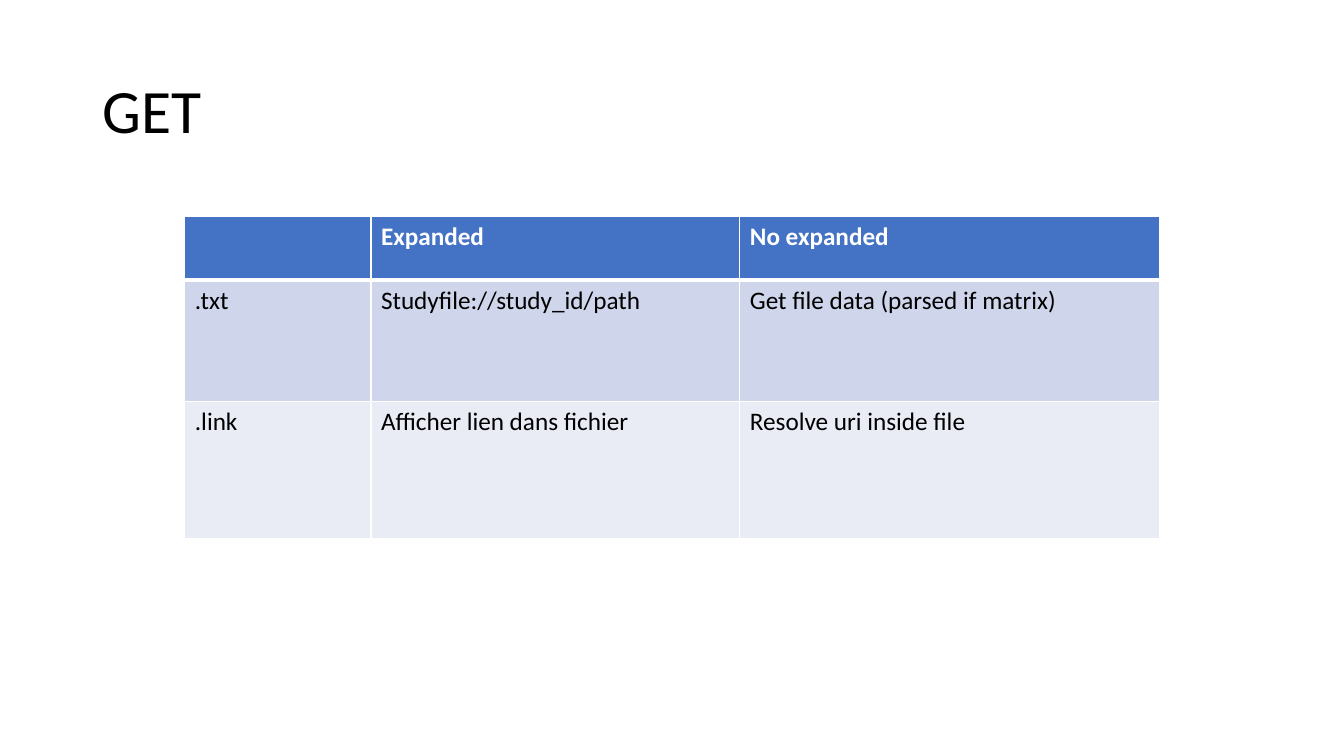
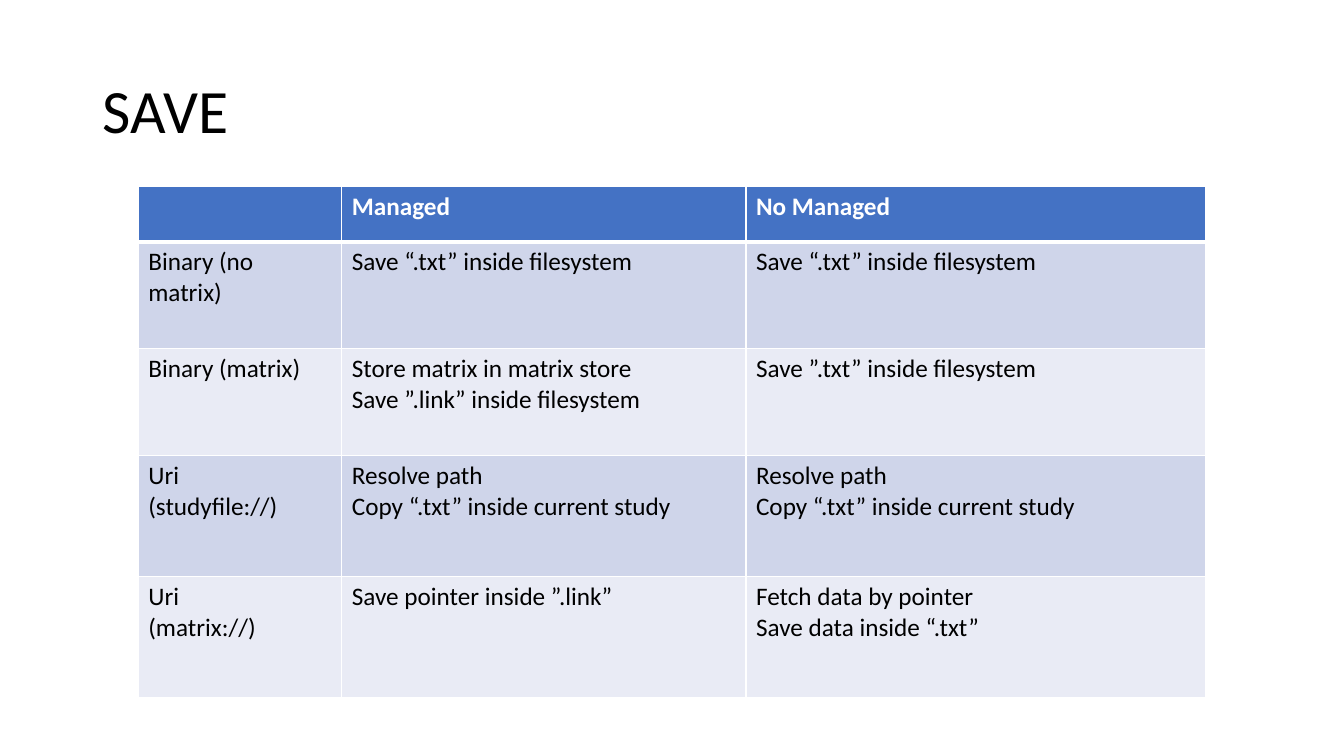
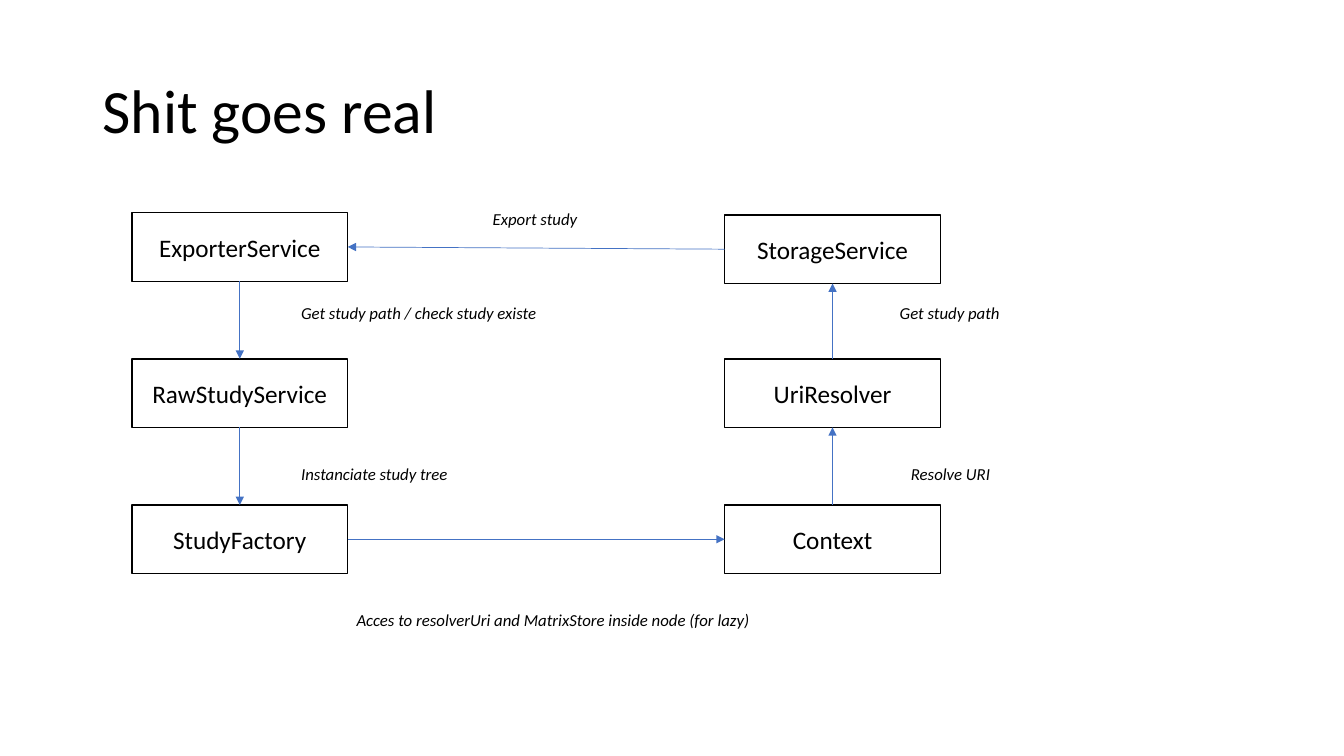
import pptx
import pptx.util
import pptx.dml.color
import pptx.enum.shapes
import pptx.enum.text
import pptx.oxml.ns
from lxml import etree

Pt = pptx.util.Pt
qn = pptx.oxml.ns.qn
ALIGN = pptx.enum.text.PP_ALIGN
ANCHOR = pptx.enum.text.MSO_ANCHOR
FIT = pptx.enum.text.MSO_AUTO_SIZE

# Shared look
FONT = "Calibri"
BLACK, WHITE, BLUE = "000000", "FFFFFF", "4472C4"
BANDS = ("CFD5EA", "E9EBF5")
TITLE_BOX = (66, 28.75, 828, 104.4)
TOP, LEFT, BOTTOM, RIGHT = range(4)  # connection sites of a rectangle


def color(code):
    return pptx.dml.color.RGBColor.from_string(code)


def write(frame, text, size=18, tint=BLACK, bold=False, italic=False,
          align=ALIGN.LEFT, space=None):
    """Fill a text frame, one paragraph for each line."""
    for i, line in enumerate(text.split("\n")):
        para = frame.add_paragraph() if i else frame.paragraphs[0]
        para.alignment = align
        if space:
            para.line_spacing = space
        run = para.add_run()
        run.text = line
        font = run.font
        font.name, font.size = FONT, Pt(size)
        font.bold, font.italic = bold, italic
        font.color.rgb = color(tint)


def add_slide(deck, title):
    slide = deck.slides.add_slide(deck.slide_layouts[5])
    head = slide.shapes.title
    head.left, head.top, head.width, head.height = map(Pt, TITLE_BOX)
    frame = head.text_frame
    frame.auto_size = FIT.NONE
    frame.vertical_anchor = ANCHOR.MIDDLE
    write(frame, title, size=44, space=0.9)
    return slide


# Tables
def add_border(cell, sides):
    """Draw white cell borders; sides maps a tag to a width in points."""
    props = cell._tc.get_or_add_tcPr()
    for i, (side, width) in enumerate(sides.items()):
        line = etree.Element(qn("a:" + side), w=str(int(Pt(width))))
        fill = etree.SubElement(line, qn("a:solidFill"))
        etree.SubElement(fill, qn("a:srgbClr"), val=WHITE)
        props.insert(i, line)


def add_grid(slide, left, top, widths, heights, rows):
    size = (sum(widths), sum(heights))
    shape = slide.shapes.add_table(len(rows), len(widths),
                                   *map(Pt, (left, top, *size)))
    table = shape.table
    for col, width in zip(table.columns, widths):
        col.width = Pt(width)
    for r, texts in enumerate(rows):
        table.rows[r].height = Pt(heights[r])
        head = r == 0
        for c, text in enumerate(texts):
            cell = table.cell(r, c)
            cell.fill.solid()
            cell.fill.fore_color.rgb = color(BLUE if head else BANDS[(r - 1) % 2])
            add_border(cell, {"lnL": 1, "lnR": 1, "lnT": 3 if r == 1 else 1,
                              "lnB": 3 if head else 1})
            if text:
                write(cell.text_frame, text, bold=head,
                      tint=WHITE if head else BLACK)


# Flow diagram
def add_node(slide, left, top, width, height, text):
    node = slide.shapes.add_shape(pptx.enum.shapes.MSO_SHAPE.RECTANGLE,
                                  *map(Pt, (left, top, width, height)))
    node.shadow.inherit = False
    node.fill.solid()
    node.fill.fore_color.rgb = color(WHITE)
    node.line.color.rgb = color(BLACK)
    node.line.width = Pt(1)
    node.text_frame.vertical_anchor = ANCHOR.MIDDLE
    write(node.text_frame, text, align=ALIGN.CENTER)
    return node


def add_arrow(slide, start, exit_side, end, entry_side):
    arrow = slide.shapes.add_connector(
        pptx.enum.shapes.MSO_CONNECTOR.STRAIGHT, 0, 0, 0, 0)
    arrow.begin_connect(start, exit_side)
    arrow.end_connect(end, entry_side)
    arrow.line.color.rgb = color(BLUE)
    arrow.line.width = Pt(0.5)
    etree.SubElement(arrow.line._get_or_add_ln(), qn("a:tailEnd"), type="triangle")
    etree.SubElement(arrow._element.spPr, qn("a:effectLst"))


def add_note(slide, left, top, width, text):
    note = slide.shapes.add_textbox(*map(Pt, (left, top, width, 21.8)))
    note.text_frame.word_wrap = False
    note.text_frame.auto_size = FIT.SHAPE_TO_FIT_TEXT
    write(note.text_frame, text, size=12, italic=True)


def add_flow(slide, left, top):
    wide, high, across, down = 154.2, 49, 423.4, 104.4
    # Boxes: name, column, row, small shift down
    places = [
        ("ExporterService", 0, 0, 0), ("RawStudyService", 0, 1, 0),
        ("StudyFactory", 0, 2, 0), ("Context", 1, 2, 0),
        ("UriResolver", 1, 1, 0), ("StorageService", 1, 0, 1.6),
    ]
    nodes = [add_node(slide, left + col * across, top + row * down + shift,
                      wide, high, name)
             for name, col, row, shift in places]

    # Arrows run round the loop, box to box
    sides = [(BOTTOM, TOP), (BOTTOM, TOP), (RIGHT, LEFT),
             (TOP, BOTTOM), (TOP, BOTTOM), (LEFT, RIGHT)]
    for start, end, (leave, enter) in zip(nodes, nodes[1:] + nodes[:1], sides):
        add_arrow(slide, start, leave, end, enter)

    # Notes beside the arrows
    notes = [
        (113.8, 60.5, 184.3, "Get study path / check study existe"),
        (113.8, 175.6, 120.2, "Instanciate study tree"),
        (153.4, 280, 298, "Acces to resolverUri and MatrixStore inside node (for lazy)"),
        (549.4, 175.6, 72, "Resolve URI"),
        (541.4, 60.5, 86.4, "Get study path"),
        (250.6, -6.4, 75.6, "Export study"),
    ]
    for x, y, width, text in notes:
        add_note(slide, left + x, top + y, width, text)


def main():
    deck = pptx.Presentation()
    deck.slide_width, deck.slide_height = Pt(960), Pt(540)

    add_grid(add_slide(deck, "GET"), 132, 154.8,
             (133, 263.5, 299.5), (45.4, 86.4, 98), [
        ("", "Expanded", "No expanded"),
        (".txt", "Studyfile://study_id/path", "Get file data (parsed if matrix)"),
        (".link", "Afficher lien dans fichier", "Resolve uri inside file"),
    ])

    save = "Save “.txt” inside filesystem"
    copy = "Resolve path\nCopy “.txt” inside current study"
    add_grid(add_slide(deck, "SAVE"), 98.8, 133.2,
             (145.4, 288.7, 328.3), (39.6, 76.2, 76.2, 86.4, 86.4), [
        ("", "Managed", "No Managed"),
        ("Binary (no matrix)", save, save),
        ("Binary (matrix)",
         "Store matrix in matrix store\nSave ”.link” inside filesystem",
         "Save ”.txt” inside filesystem"),
        ("Uri\n(studyfile://)", copy, copy),
        ("Uri\n(matrix://)", "Save pointer inside ”.link”",
         "Fetch data by pointer\nSave data inside “.txt”"),
    ])

    add_flow(add_slide(deck, "Shit goes real"), 94.2, 151.9)
    deck.save("out.pptx")


if __name__ == "__main__":
    main()
